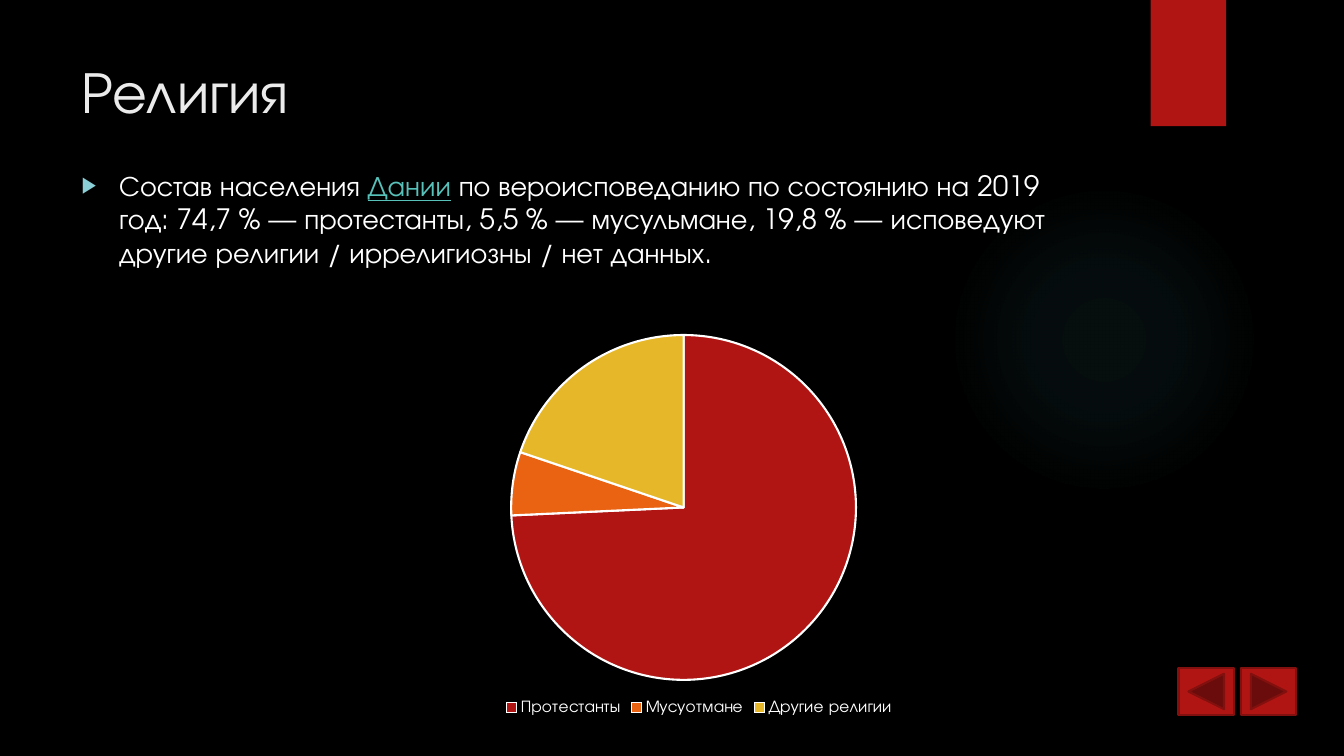
from typing import NamedTuple

from lxml import etree
from pptx import Presentation
from pptx.chart.data import CategoryChartData
from pptx.dml.color import RGBColor
from pptx.enum.chart import XL_CHART_TYPE as ChartType, XL_LEGEND_POSITION as LegendPosition
from pptx.enum.shapes import MSO_SHAPE as Preset
from pptx.enum.text import MSO_ANCHOR as Anchor, MSO_AUTO_SIZE as AutoSize, PP_ALIGN as Align
from pptx.oxml import parse_xml
from pptx.oxml.ns import nsdecls, qn
from pptx.util import Cm, Pt

FONT = "TeX Gyre Adventor"
BLACK, WHITE, OFF_WHITE = "000000", "FFFFFF", "EBEBEB"
RED, DARK_RED, TEAL = "B01513", "82100E", "50B9C1"
LINK, BULLET = "58C1BA", "8AD0D6"


class Box(NamedTuple):
    left: float
    top: float
    width: float
    height: float

    def lengths(self) -> list:
        return [Cm(value) for value in self]


class Figure(NamedTuple):
    preset: Preset
    box: Box
    fill: str
    line: str = ""


class Faith(NamedTuple):
    name: str
    share: int
    colour: str


GLOW = Figure(Preset.OVAL, Box(23.91, 4.65, 7.82, 7.82), TEAL)
GLOW_STOPS = ((0, 7), (36, 6), (69, 0))  # position and opacity, per cent
TAB = Figure(Preset.RECTANGLE, Box(29, 0, 1.9, 3.18), RED)
BUTTONS = [
    Figure(preset, Box(29.7 + 1.57 * place, 16.83, 1.4, 1.19), RED, DARK_RED)
    for place, preset in enumerate(
        (Preset.ACTION_BUTTON_BACK_OR_PREVIOUS, Preset.ACTION_BUTTON_FORWARD_OR_NEXT))
]
FAITHS = (
    Faith("Протестанты", 75, RED),
    Faith("Мусуотмане", 6, "EA6312"),
    Faith("Другие религии", 20, "E6B729"),
)
PLOT = {"x": 0.206, "y": 0.093, "w": 0.542, "h": 0.813}
STATEMENT = (
    ("Состав населения ", WHITE, False),
    ("Дании", LINK, True),
    (" по вероисповеданию по состоянию на 2019 год: 74,7 % — протестанты, "
     "5,5 % — мусульмане, 19,8 % — исповедуют другие религии / "
     "иррелигиозны / нет данных.", WHITE, False),
)


def rgb(code: str) -> RGBColor:
    return RGBColor.from_string(code)


def paint(fill, code: str) -> None:
    fill.solid()
    fill.fore_color.rgb = rgb(code)


def set_font(font, size: float, code: str = "") -> None:
    font.name, font.size = FONT, Pt(size)
    if code:
        font.color.rgb = rgb(code)


def draw_figure(slide, figure: Figure):
    shape = slide.shapes.add_shape(figure.preset, *figure.box.lengths())
    shape.shadow.inherit = False
    paint(shape.fill, figure.fill)
    if figure.line:
        shape.line.color.rgb = rgb(figure.line)
        shape.line.width = Pt(1.5)
    else:
        shape.line.fill.background()
    return shape


def make_radial(shape, code: str) -> None:
    stops = "".join(
        f'<a:gs pos="{position * 1000}"><a:srgbClr val="{code}">'
        f'<a:alpha val="{opacity * 1000}"/></a:srgbClr></a:gs>'
        for position, opacity in GLOW_STOPS)
    gradient = parse_xml(
        f'<a:gradFill {nsdecls("a")} rotWithShape="1"><a:gsLst>{stops}</a:gsLst>'
        '<a:path path="circle"><a:fillToRect l="50000" t="50000" r="50000" b="50000"/>'
        '</a:path></a:gradFill>')
    solid = shape.element.spPr.find(qn("a:solidFill"))
    solid.getparent().replace(solid, gradient)


def place_text(holder, box: Box):
    holder.left, holder.top, holder.width, holder.height = box.lengths()
    frame = holder.text_frame
    frame.word_wrap = True
    frame.auto_size = AutoSize.NONE
    frame.vertical_anchor = Anchor.TOP
    paragraph = frame.paragraphs[0]
    paragraph.alignment = Align.LEFT
    return paragraph


def add_bullet(paragraph, code: str) -> None:
    properties = paragraph._p.get_or_add_pPr()
    properties.set("marL", str(Cm(0.95)))
    properties.set("indent", str(Cm(-0.95)))
    colour = etree.SubElement(properties, qn("a:buClr"))
    etree.SubElement(colour, qn("a:srgbClr"), val=code)
    etree.SubElement(properties, qn("a:buSzPct"), val="80000")
    etree.SubElement(properties, qn("a:buFont"), typeface="Arial")
    etree.SubElement(properties, qn("a:buChar"), char="▶")


def fix_plot(chart) -> None:
    modes = "".join(f'<c:{side}Mode val="edge"/>' for side in "xy")
    sizes = "".join(f'<c:{key} val="{value}"/>' for key, value in PLOT.items())
    layout = parse_xml(
        f'<c:layout {nsdecls("c")}><c:manualLayout><c:layoutTarget val="inner"/>'
        f'{modes}{sizes}</c:manualLayout></c:layout>')
    area = chart.element.chart.plotArea
    for automatic in area.findall(qn("c:layout")):
        area.remove(automatic)
    area.insert(0, layout)


def add_religion_pie(slide, box: Box) -> None:
    shares = CategoryChartData(number_format="0")
    shares.categories = [faith.name for faith in FAITHS]
    shares.add_series("Series 1", [faith.share for faith in FAITHS])
    chart = slide.shapes.add_chart(ChartType.PIE, *box.lengths(), shares).chart
    set_font(chart.font, 10, WHITE)
    chart.has_title = False
    chart.has_legend = True
    chart.legend.position = LegendPosition.BOTTOM
    chart.legend.include_in_layout = False
    set_font(chart.legend.font, 12, WHITE)
    pie = chart.plots[0]
    pie.vary_by_categories = True
    for index, faith in enumerate(FAITHS):
        sector = pie.series[0].points[index].format
        paint(sector.fill, faith.colour)
        sector.line.color.rgb = rgb(WHITE)
        sector.line.width = Pt(1.5)
    fix_plot(chart)


def main() -> None:
    deck = Presentation()
    deck.slide_width, deck.slide_height = Cm(33.87), Cm(19.05)
    slide = deck.slides.add_slide(deck.slide_layouts[1])
    paint(slide.background.fill, BLACK)
    title, body = slide.placeholders

    # Decoration behind the text
    glow = draw_figure(slide, GLOW)
    make_radial(glow, TEAL)
    tab = draw_figure(slide, TAB)
    for backdrop in (glow, tab):
        title.element.addprevious(backdrop.element)

    # Title and statement
    heading = place_text(title, Box(1.8, 1.26, 26.14, 3.89))
    heading.text = "Религия"
    set_font(heading.font, 42, OFF_WHITE)

    statement = place_text(body, Box(1.8, 4.11, 24.84, 11.66))
    statement.space_before = Pt(10)
    add_bullet(statement, BULLET)
    set_font(statement.font, 20)
    for wording, colour, underlined in STATEMENT:
        run = statement.add_run()
        run.text = wording
        run.font.color.rgb = rgb(colour)
        run.font.underline = underlined

    # Chart and navigation
    add_religion_pie(slide, Box(9, 7.45, 17.25, 10.69))
    for button in BUTTONS:
        draw_figure(slide, button)

    deck.save("out.pptx")


if __name__ == "__main__":
    main()
